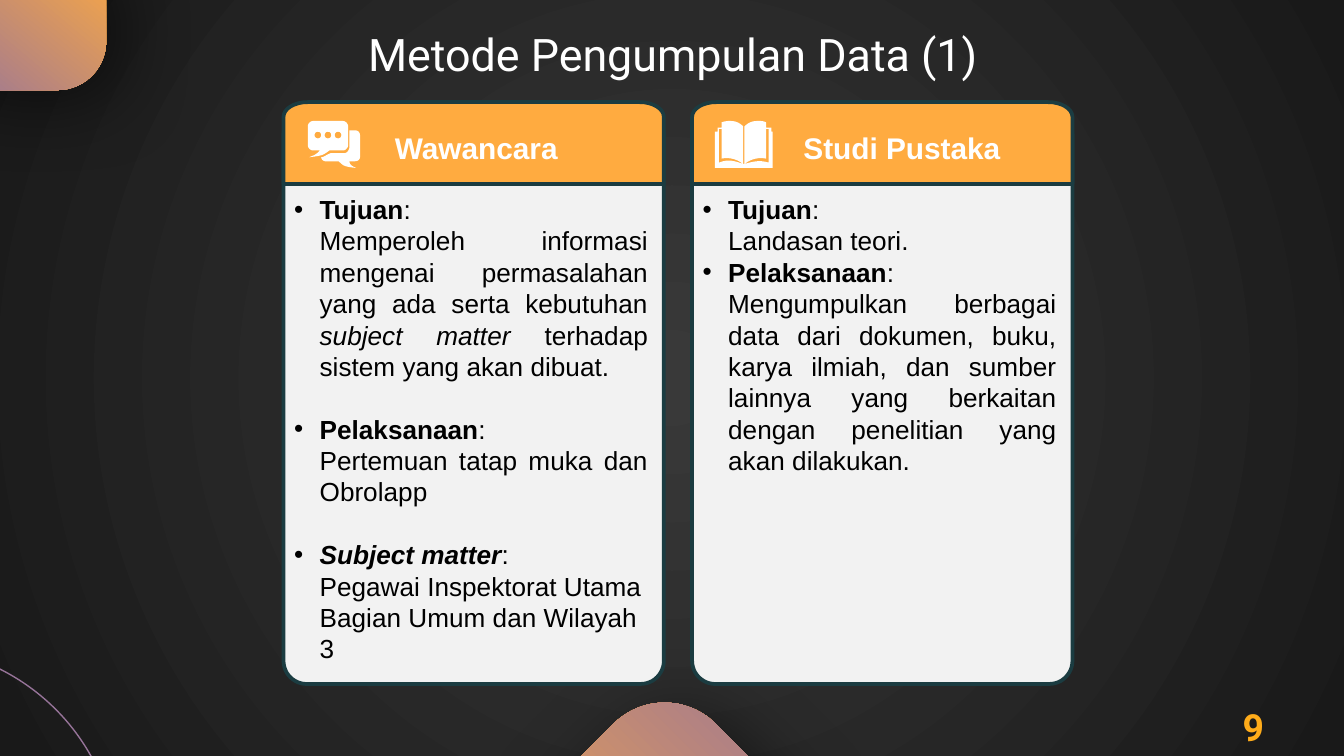
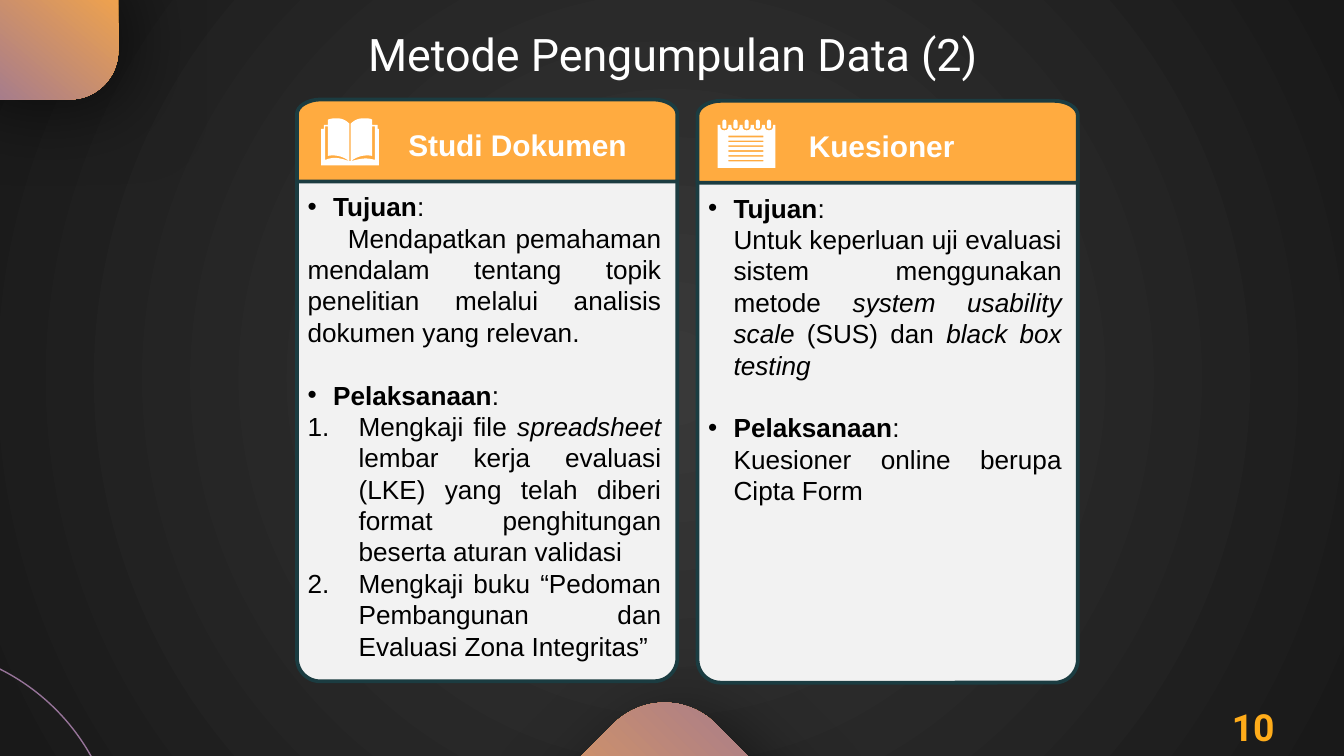
from dataclasses import dataclass

from lxml import etree
from pptx import Presentation
from pptx.dml.color import RGBColor
from pptx.enum import shapes, text
from pptx.oxml import ns
from pptx.util import Inches, Pt


@dataclass(frozen=True)
class Theme:
    orange: RGBColor = RGBColor.from_string("FFAB40")
    purple: RGBColor = RGBColor.from_string("977499")
    number: RGBColor = RGBColor.from_string("FFAC1A")
    card: RGBColor = RGBColor.from_string("F2F2F2")
    outline: RGBColor = RGBColor.from_string("1B3C41")
    white: RGBColor = RGBColor.from_string("FFFFFF")
    black: RGBColor = RGBColor.from_string("000000")
    center: RGBColor = RGBColor.from_string("393939")
    edge: RGBColor = RGBColor.from_string("191919")
    title_size: int = Pt(24)
    page_size: int = Pt(20)
    header_size: int = Pt(16)
    body_size: int = Pt(14)
    body_line: int = Pt(16.8)
    heading_font: str = "Roboto"
    body_font: str = "Arial"


theme = Theme()

# Outlines use hundredths of an inch and the commands M, L, C and Z.
HEADER = "M265 0 L18 0 C8 0 0 5 0 11 L0 61 L283 61 L283 11 C283 5 275 0 265 0 Z"
BOOK = ("M21 32 L22 32 C29 30 33 29 40 31 L40 6 L38 6 L38 28 C33 27 27 28 22 32 "
        "L22 4 C25 1 28 0 32 0 C34 0 36 0 38 1 L38 5 L42 5 L42 8 L43 8 L43 35 L0 35 "
        "L0 8 L2 8 L2 5 L5 5 L5 1 C8 0 10 0 11 0 C15 0 18 1 21 4 L21 32 "
        "C16 28 10 27 5 28 L5 6 L3 6 L3 31 C10 28 15 30 21 32 Z")
CHAT = ("M31 7 L35 7 C38 7 39 9 39 12 L39 26 C39 28 38 30 35 30 L31 30 "
        "C31 31 31 33 36 35 C28 34 27 34 23 30 L13 30 C12 30 10 29 10 27 "
        "C12 27 14 25 17 24 L27 24 C29 24 31 22 31 19 Z "
        "M4 0 L26 0 C28 0 30 2 30 4 L30 18 C30 20 28 22 26 22 L16 22 "
        "C11 26 9 26 1 27 C6 25 6 25 9 22 L4 22 C2 22 0 20 0 18 L0 4 C0 2 2 0 4 0 Z")
for x in (7.5, 15, 22.5):
    CHAT += (f" M{x} 8 C{x - 3.3} 8 {x - 3.3} 13 {x} 13"
             f" C{x + 3.3} 13 {x + 3.3} 8 {x} 8 Z")

ring_centers = [5 + 8.3 * i for i in range(5)]
NOTEPAD = "M0 4"
for x in ring_centers:
    NOTEPAD += (f" L{x - 3} 4 L{x - 3} 5 C{x - 3} 7 {x - 2} 8 {x} 8"
                f" C{x + 2} 8 {x + 3} 7 {x + 3} 5 L{x + 3} 4")
NOTEPAD += " L43 4 L43 36 L0 36 Z"
for x in ring_centers:
    NOTEPAD += (f" M{x} 0 C{x + 1} 0 {x + 1.5} 1 {x + 1.5} 2 L{x + 1.5} 6"
                f" C{x + 1.5} 7 {x - 1.5} 7 {x - 1.5} 6 L{x - 1.5} 2"
                f" C{x - 1.5} 1 {x - 1} 0 {x} 0 Z")
for i in range(6):
    y = 12 + 3.6 * i
    NOTEPAD += f" M8 {y} L34 {y} L34 {y + 1.2} L8 {y + 1.2} Z"

# Paragraph kinds: left margin, first-line indent, bullet, justified, gap before
KINDS = {
    "head": (0.19, -0.19, "•", False, False),
    "spaced head": (0.19, -0.19, "•", False, True),
    "body": (0.19, 0, None, True, False),
    "left body": (0.19, 0, None, False, False),
    "indented": (0, 0.3, None, True, False),
    "step": (0.38, -0.38, "1.", True, False),
}

# Each card: left, top, icon, icon left, header, paragraphs (underscores mark italics)
SLIDES = [
    ("Metode Pengumpulan Data (1)", "9", (-0.49, -0.41), [
        (2.11, 0.76, CHAT, 2.29, "Wawancara", [
            ("head", "Tujuan"),
            ("body", "Memperoleh informasi mengenai permasalahan yang ada serta "
                     "kebutuhan _subject matter_ terhadap sistem yang akan dibuat."),
            ("spaced head", "Pelaksanaan"),
            ("body", "Pertemuan tatap muka dan Obrolapp"),
            ("spaced head", "_Subject matter_"),
            ("left body", "Pegawai Inspektorat Utama Bagian Umum dan Wilayah 3"),
        ]),
        (5.15, 0.76, BOOK, 5.32, "Studi Pustaka", [
            ("head", "Tujuan"),
            ("body", "Landasan teori."),
            ("head", "Pelaksanaan"),
            ("body", "Mengumpulkan berbagai data dari dokumen, buku, karya ilmiah, dan "
                     "sumber lainnya yang berkaitan dengan penelitian yang akan dilakukan."),
        ]),
    ]),
    ("Metode Pengumpulan Data (2)", "10", (-0.4, -0.34), [
        (2.21, 0.74, BOOK, 2.39, "Studi Dokumen", [
            ("head", "Tujuan"),
            ("indented", "Mendapatkan pemahaman mendalam tentang topik penelitian "
                         "melalui analisis dokumen yang relevan."),
            ("spaced head", "Pelaksanaan"),
            ("step", "Mengkaji file _spreadsheet_ lembar kerja evaluasi (LKE) yang telah "
                     "diberi format penghitungan beserta aturan validasi"),
            ("step", "Mengkaji buku “Pedoman Pembangunan dan Evaluasi Zona Integritas”"),
        ]),
        (5.19, 0.75, NOTEPAD, 5.34, "Kuesioner", [
            ("head", "Tujuan"),
            ("body", "Untuk keperluan uji evaluasi sistem menggunakan metode _system "
                     "usability scale_ (SUS) dan _black box testing_"),
            ("spaced head", "Pelaksanaan"),
            ("body", "Kuesioner online berupa Cipta Form"),
        ]),
    ]),
]


def draw_outline(container, outline, left, top, color):
    builder = None
    for contour in outline.split("Z"):
        points = []
        for command in contour.replace("M", "|").replace("L", "|").replace("C", "|").split("|")[1:]:
            numbers = [float(value) * 100 for value in command.split()]
            if len(numbers) == 2:
                points.append(tuple(numbers))
                continue
            controls = [points[-1], *zip(numbers[::2], numbers[1::2])]
            for step in range(1, 9):
                t = step / 8
                weights = ((1 - t) ** 3, 3 * t * (1 - t) ** 2, 3 * t * t * (1 - t), t ** 3)
                points.append(tuple(sum(w * c[axis] for w, c in zip(weights, controls))
                                    for axis in (0, 1)))
        if not points:
            continue
        if builder is None:
            builder = container.build_freeform(*points[0], scale=91.44)
        else:
            builder.move_to(*points[0])
        builder.add_line_segments(points[1:], close=True)
    shape = builder.convert_to_shape(Inches(left), Inches(top))
    shape.shadow.inherit = False
    shape.fill.solid()
    shape.fill.fore_color.rgb = color
    shape.line.fill.background()
    return shape


def add_label(slide, box, label, size, font_name, color):
    """Add a one-line bold text box."""
    shape = slide.shapes.add_textbox(*map(Inches, box))
    shape.text_frame.word_wrap = True
    paragraph = shape.text_frame.paragraphs[0]
    paragraph.text = label
    font = paragraph.font
    font.size, font.name, font.bold = size, font_name, True
    font.color.rgb = color
    return shape.text_frame


presentation = Presentation()
presentation.slide_width = Inches(10)
presentation.slide_height = Inches(10) * 9 // 16

background = presentation.slide_master.background.fill
background.gradient()
for stop, color in zip(background.gradient_stops, (theme.center, theme.edge)):
    stop.color.rgb = color
direction = presentation.slide_master.element.find(".//" + ns.qn("p:bg") + "//" + ns.qn("a:lin"))
circle = etree.Element(ns.qn("a:path"), {"path": "circle"})
etree.SubElement(circle, ns.qn("a:fillToRect"), dict.fromkeys("ltrb", "50000"))
direction.getparent().replace(direction, circle)

for title, page, corner, cards in SLIDES:
    slide = presentation.slides.add_slide(presentation.slide_layouts[5])

    # Gradient corner and bottom tile, then the ring
    for box, rounding, angle, rotation in (
        ((*corner, 1.28, 1.08), 0.336, 230, 0),
        ((4.09, 5.36, 1.71, 1.71), 0.314, 270, 225),
    ):
        shape = slide.shapes.add_shape(shapes.MSO_SHAPE.ROUNDED_RECTANGLE, *map(Inches, box))
        shape.adjustments[0] = rounding
        shape.rotation = rotation
        shape.line.fill.background()
        shape.fill.gradient()
        shape.fill.gradient_angle = angle
        for stop, color in zip(shape.fill.gradient_stops, (theme.orange, theme.purple)):
            stop.color.rgb = color
        shape.shadow.inherit = False
        effects = shape.element.spPr.find(ns.qn("a:effectLst"))
        shadow = etree.SubElement(effects, ns.qn("a:outerShdw"), {
            "blurRad": str(Pt(39.4)), "dist": str(Pt(11.2)),
            "dir": str(40 * 60000), "algn": "tl", "rotWithShape": "0"})
        shade = etree.SubElement(shadow, ns.qn("a:srgbClr"), val="000000")
        etree.SubElement(shade, ns.qn("a:alpha"), val="50000")

    ring = slide.shapes.add_shape(shapes.MSO_SHAPE.OVAL, *map(Inches, (-2.31, 4.81, 3.19, 3.19)))
    ring.shadow.inherit = False
    ring.fill.background()
    ring.line.color.rgb = theme.purple
    ring.line.width = Pt(0.75)

    heading = slide.shapes.title
    heading.left, heading.top, heading.width, heading.height = map(Inches, (0.79, 0.2, 8.43, 0.64))
    frame = heading.text_frame
    frame.text = title
    frame.margin_left = frame.margin_right = frame.margin_top = frame.margin_bottom = 0
    frame.vertical_anchor = text.MSO_ANCHOR.TOP
    paragraph = frame.paragraphs[0]
    paragraph.alignment = text.PP_ALIGN.CENTER
    paragraph.font.size, paragraph.font.name = theme.title_size, theme.heading_font
    paragraph.font.color.rgb = theme.white

    for left, top, icon, icon_left, header, paragraphs in cards:
        group = slide.shapes.add_group_shape()
        body = group.shapes.add_shape(shapes.MSO_SHAPE.ROUNDED_RECTANGLE,
                                      *map(Inches, (left, top + 0.07, 2.83, 4.26)))
        body.adjustments[0] = 0.061
        body.shadow.inherit = False
        body.fill.solid()
        body.fill.fore_color.rgb = theme.card
        band = draw_outline(group.shapes, HEADER, left, top, theme.orange)
        for shape in (body, band):
            shape.line.color.rgb = theme.outline
            shape.line.width = Pt(2)

        draw_outline(slide.shapes, icon, icon_left, top + 0.14, theme.white)
        frame = add_label(slide, (left + 0.73, top + 0.15, 2.1, 0.37), header,
                          theme.header_size, theme.body_font, theme.white)
        frame.vertical_anchor = text.MSO_ANCHOR.MIDDLE

        textbox = slide.shapes.add_textbox(*map(Inches, (left - 0.02, top + 0.63, 2.83, 3.63)))
        frame = textbox.text_frame
        frame.word_wrap = True
        for index, (kind, content) in enumerate(paragraphs):
            margin, indent, bullet, justified, gap = KINDS[kind]
            paragraph = frame.add_paragraph() if index else frame.paragraphs[0]
            properties = paragraph._p.get_or_add_pPr()
            properties.set("marL", str(Inches(margin)))
            properties.set("indent", str(Inches(indent)))
            if bullet:
                tint = etree.SubElement(properties, ns.qn("a:buClr"))
                etree.SubElement(tint, ns.qn("a:srgbClr"), val=str(theme.black))
                etree.SubElement(properties, ns.qn("a:buFont"), typeface=theme.body_font)
                if bullet == "•":
                    etree.SubElement(properties, ns.qn("a:buChar"), char=bullet)
                else:
                    etree.SubElement(properties, ns.qn("a:buAutoNum"), type="arabicPeriod")
            paragraph.alignment = text.PP_ALIGN.JUSTIFY if justified else text.PP_ALIGN.LEFT
            paragraph.line_spacing = theme.body_line
            if gap:
                paragraph.space_before = theme.body_line
            paragraph.font.size, paragraph.font.name = theme.body_size, theme.body_font
            paragraph.font.color.rgb = theme.black
            for part, words in enumerate(content.split("_")):
                if words:
                    run = paragraph.add_run()
                    run.text = words
                    if part % 2:
                        run.font.italic = True
                    if "head" in kind:
                        run.font.bold = True
            if "head" in kind:
                paragraph.add_run().text = ":"

    frame = add_label(slide, (8.65, 5.19, 1.35, 0.44), page,
                      theme.page_size, theme.heading_font, theme.number)
    frame.paragraphs[0].alignment = text.PP_ALIGN.CENTER

presentation.save("out.pptx")
